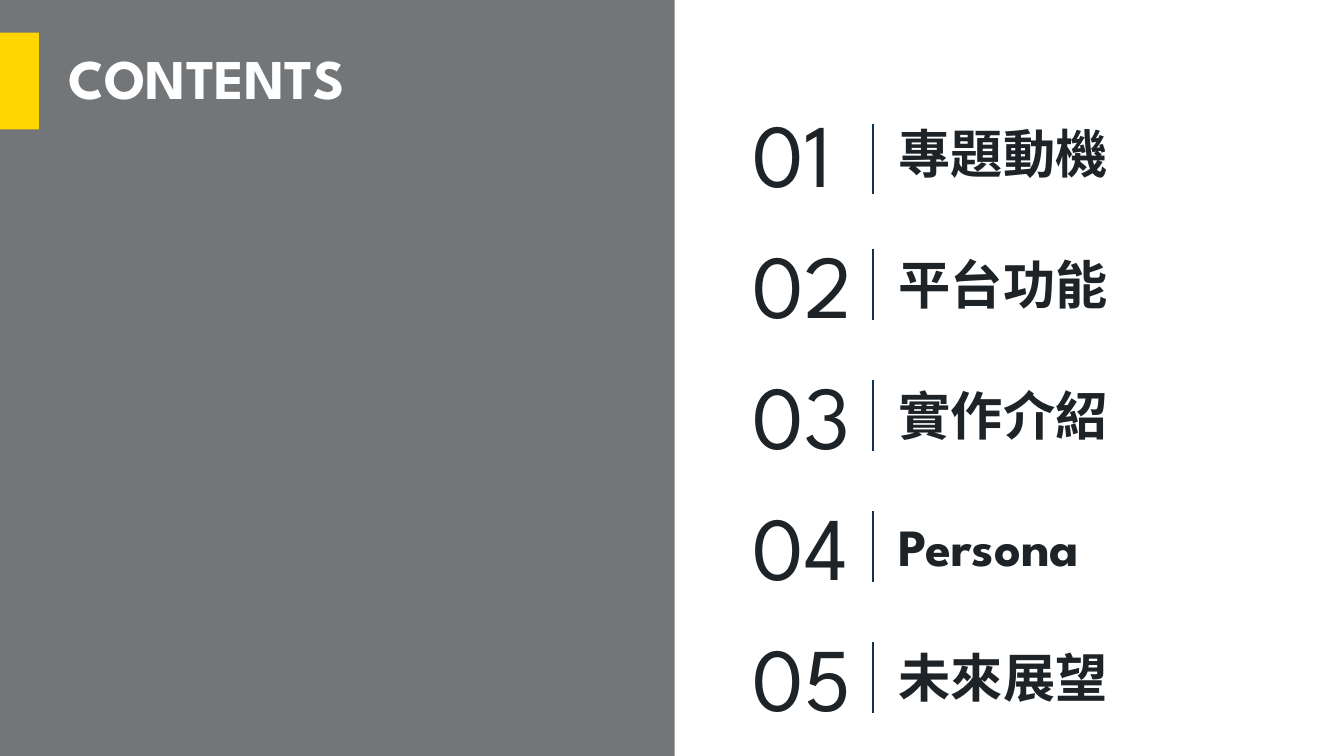
from lxml import etree
from pptx import Presentation
from pptx.dml.color import RGBColor
from pptx.enum.shapes import MSO_CONNECTOR, MSO_SHAPE
from pptx.enum.text import MSO_ANCHOR, MSO_AUTO_SIZE
from pptx.oxml.ns import qn
from pptx.util import Cm, Pt

RECTANGLE = MSO_SHAPE.RECTANGLE
STRAIGHT = MSO_CONNECTOR.STRAIGHT
TOP, MIDDLE = MSO_ANCHOR.TOP, MSO_ANCHOR.MIDDLE
FIT_SHAPE = MSO_AUTO_SIZE.SHAPE_TO_FIT_TEXT
NO_FIT = MSO_AUTO_SIZE.NONE

FONT = "League Spartan"
COLORS = {
    "ink": "1E2327",
    "white": "FFFFFF",
    "yellow": "FFD600",
    "navy": "103154",
}
SLIDE_WIDTH, SLIDE_HEIGHT = 33.87, 19.05
CHAPTERS = ["專題動機", "平台功能", "實作介紹", "Persona", "未來展望"]
ROW_PITCH = 3.3


def color(name):
    return RGBColor.from_string(COLORS[name])


def add_block(slide, left, top, width, height, fill, opacity=100):
    shape = slide.shapes.add_shape(
        RECTANGLE, Cm(left), Cm(top), Cm(width), Cm(height))
    shape.shadow.inherit = False
    shape.fill.solid()
    shape.fill.fore_color.rgb = color(fill)
    shape.line.fill.background()
    if opacity < 100:
        fill_color = shape.fill._xPr.find(qn("a:solidFill"))[0]
        etree.SubElement(fill_color, qn("a:alpha"), val=str(opacity * 1000))


def add_text(slide, left, top, width, height, text, size, fill="ink",
             bold=False, anchor=MIDDLE, wrap=True, fit=FIT_SHAPE,
             line_spacing=None, space_before=None):
    box = slide.shapes.add_textbox(Cm(left), Cm(top), Cm(width), Cm(height))
    frame = box.text_frame
    frame.word_wrap = wrap
    frame.auto_size = fit
    frame.vertical_anchor = anchor
    paragraph = frame.paragraphs[0]
    paragraph.line_spacing = line_spacing
    paragraph.space_before = space_before
    run = paragraph.add_run()
    run.text = text
    run.font.name = FONT
    run.font.size = Pt(size)
    run.font.bold = bold
    run.font.color.rgb = color(fill)


def add_divider(slide, left, top, height):
    line = slide.shapes.add_connector(
        STRAIGHT, Cm(left), Cm(top), Cm(left), Cm(top + height))
    line.line.color.rgb = color("navy")
    line.line.width = Pt(1)
    etree.SubElement(line._element.spPr, qn("a:effectLst"))


def add_background(slide, width, height):
    # Grey tint over the slide, white panel on the right
    panel_left = 17
    add_block(slide, 0, 0, width, height, "ink", opacity=62)
    add_block(slide, panel_left, 0, width - panel_left, height, "white")


def add_title(slide, left, top, height):
    # Yellow tab with the slide title beside it
    add_block(slide, left, top, 0.98, height, "yellow")
    add_text(slide, left + 1.47, top, 12.67, height, "CONTENTS", 40, "white",
             bold=True, fit=NO_FIT, line_spacing=0.9, space_before=Pt(10))


def add_chapter(slide, left, top, number, heading, divider_offset):
    # Number, divider and heading of one row
    add_text(slide, left, top, 3.05, 3, f"{number:02}", 64,
             anchor=TOP, wrap=False)
    add_divider(slide, left + 3.28, top + divider_offset, 1.78)
    add_text(slide, left + 3.68, top + 0.5, 9.8, 1.88, heading, 37.3,
             bold=True, line_spacing=1.1)


def add_chapters(slide, left, top):
    for index, heading in enumerate(CHAPTERS):
        # The first divider sits slightly lower in its row
        divider_offset = 0.78 if index == 0 else 0.64
        add_chapter(slide, left, top + index * ROW_PITCH, index + 1,
                    heading, divider_offset)


def main():
    presentation = Presentation()
    presentation.slide_width = Cm(SLIDE_WIDTH)
    presentation.slide_height = Cm(SLIDE_HEIGHT)
    slide = presentation.slides.add_slide(presentation.slide_layouts[6])
    add_background(slide, SLIDE_WIDTH, SLIDE_HEIGHT)
    add_title(slide, 0, 0.82, 2.44)
    add_chapters(slide, 18.72, 2.34)
    presentation.save("out.pptx")


if __name__ == "__main__":
    main()
